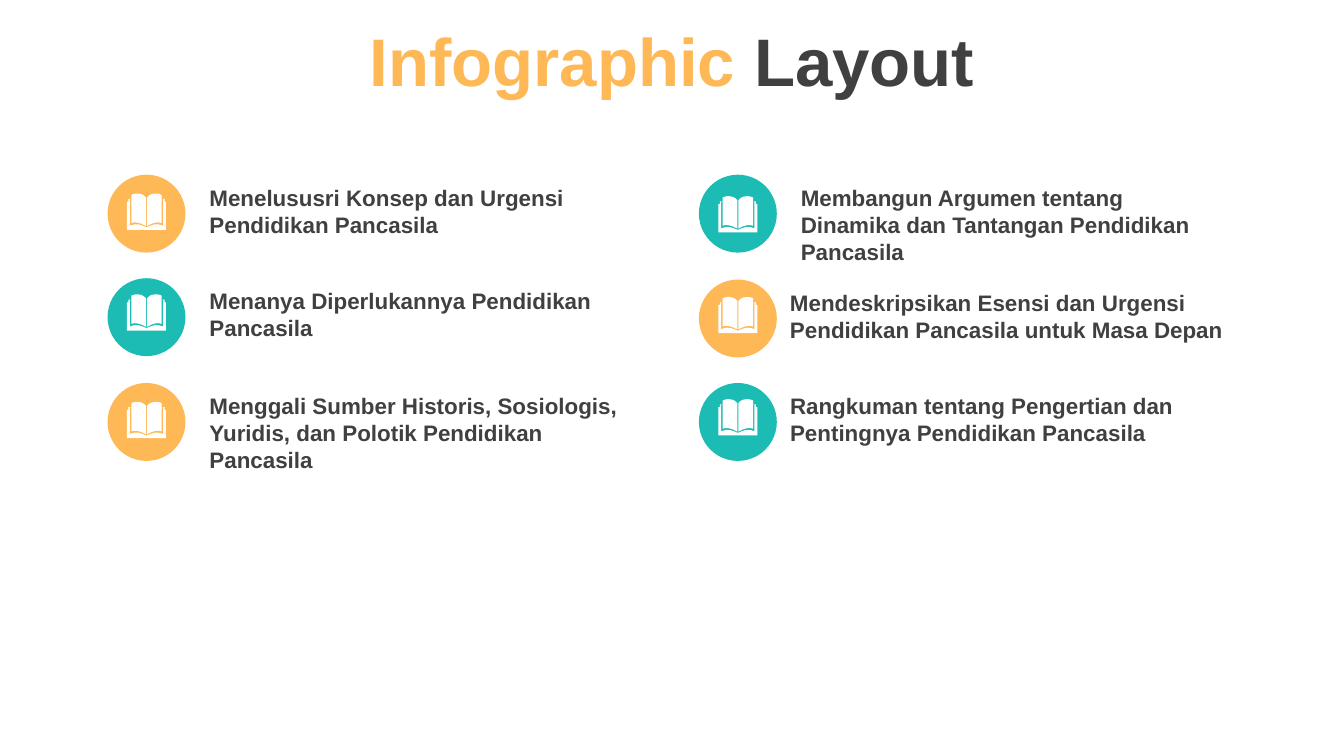
from dataclasses import dataclass

from pptx import Presentation
from pptx.dml.color import RGBColor
from pptx.enum.shapes import MSO_SHAPE
from pptx.enum.text import MSO_ANCHOR, MSO_AUTO_SIZE, PP_ALIGN
from pptx.util import Inches, Pt


@dataclass(frozen=True)
class Theme:
    orange: RGBColor = RGBColor(0xFE, 0xB8, 0x56)
    teal: RGBColor = RGBColor(0x1C, 0xBB, 0xB4)
    dark: RGBColor = RGBColor(0x40, 0x40, 0x40)
    white: RGBColor = RGBColor(0xFF, 0xFF, 0xFF)
    font: str = "Arial"
    title_size: Pt = Pt(36)
    topic_size: Pt = Pt(12)


theme = Theme()


def paint(shape, color):
    shape.fill.solid()
    shape.fill.fore_color.rgb = color
    shape.line.fill.background()
    shape.shadow.inherit = False


def set_font(paragraph, size):
    paragraph.font.name = theme.font
    paragraph.font.size = size
    paragraph.font.bold = True
    paragraph.font.color.rgb = theme.dark


# Widescreen slide, 16 to 9
deck = Presentation()
deck.slide_width = Inches(10)
deck.slide_height = Inches(10 * 9 / 16)
slide = deck.slides.add_slide(deck.slide_layouts[6])

# Title
title = slide.shapes.add_textbox(Inches(0), Inches(0.02), Inches(10), Inches(0.85))
title.text_frame.word_wrap = True
title.text_frame.vertical_anchor = MSO_ANCHOR.MIDDLE
heading = title.text_frame.paragraphs[0]
heading.alignment = PP_ALIGN.CENTER
set_font(heading, theme.title_size)
for word, color in (("Infographic ", theme.orange), ("Layout", theme.dark)):
    run = heading.add_run()
    run.text = word
    run.font.color.rgb = color

# Open book: right half in hundredths of an inch from the spine, then mirrored
right_half = [
    (0.4, 25), (3, 23.9), (5.5, 23.1), (8, 22.9), (10, 23.2), (12.4, 24),
    (12.4, 4), (11.3, 4), (11.3, 22), (9, 21.5), (6.5, 21.7), (3.5, 22.6), (0.4, 24.2),
    (0.4, 3), (2, 1.4), (4, 0.4), (7, 0), (9, 0.2), (11.3, 1),
    (11.3, 4), (13.4, 4), (13.4, 6), (14.5, 6), (14.5, 27),
]
book_outline = right_half + [(-x, y) for x, y in reversed(right_half)]
book_points = [(Inches(x / 100), Inches(y / 100)) for x, y in book_outline]

# Topics: circle left and top, book top, text left, top and width, wording
circle_size = 0.58
topics = [
    (0.8, 1.3, 1.44, 1.46, 1.32, 3.35,
     "Menelususri Konsep dan Urgensi Pendidikan Pancasila"),
    (5.2, 1.3, 1.46, 5.86, 1.32, 3.35,
     "Membangun Argumen tentang Dinamika dan Tantangan Pendidikan Pancasila"),
    (0.8, 2.07, 2.19, 1.46, 2.09, 3.35,
     "Menanya Diperlukannya Pendidikan Pancasila"),
    (5.2, 2.08, 2.21, 5.78, 2.1, 3.47,
     "Mendeskripsikan Esensi dan Urgensi Pendidikan Pancasila untuk Masa Depan"),
    (0.8, 2.85, 2.99, 1.46, 2.87, 3.35,
     "Menggali Sumber Historis, Sosiologis, Yuridis, dan Polotik Pendidikan Pancasila"),
    (5.2, 2.85, 2.97, 5.78, 2.87, 3.35,
     "Rangkuman tentang Pengertian dan Pentingnya Pendidikan Pancasila"),
]
three_line_topics = (1, 4)

for index, (left, top, book_top, text_left, text_top, width, wording) in enumerate(topics):
    row, column = divmod(index, 2)
    circle = slide.shapes.add_shape(
        MSO_SHAPE.OVAL, Inches(left), Inches(top), Inches(circle_size), Inches(circle_size))
    paint(circle, theme.teal if (row + column) % 2 else theme.orange)

    outline = slide.shapes.build_freeform(*book_points[0])
    outline.add_line_segments(book_points[1:], close=True)
    book = outline.convert_to_shape(Inches(left + circle_size / 2), Inches(book_top))
    paint(book, theme.white)

    height = 0.71 if index in three_line_topics else 0.5
    topic = slide.shapes.add_textbox(
        Inches(text_left), Inches(text_top), Inches(width), Inches(height))
    topic.text_frame.word_wrap = True
    topic.text_frame.auto_size = MSO_AUTO_SIZE.SHAPE_TO_FIT_TEXT
    label = topic.text_frame.paragraphs[0]
    label.text = wording
    set_font(label, theme.topic_size)

deck.save("out.pptx")
